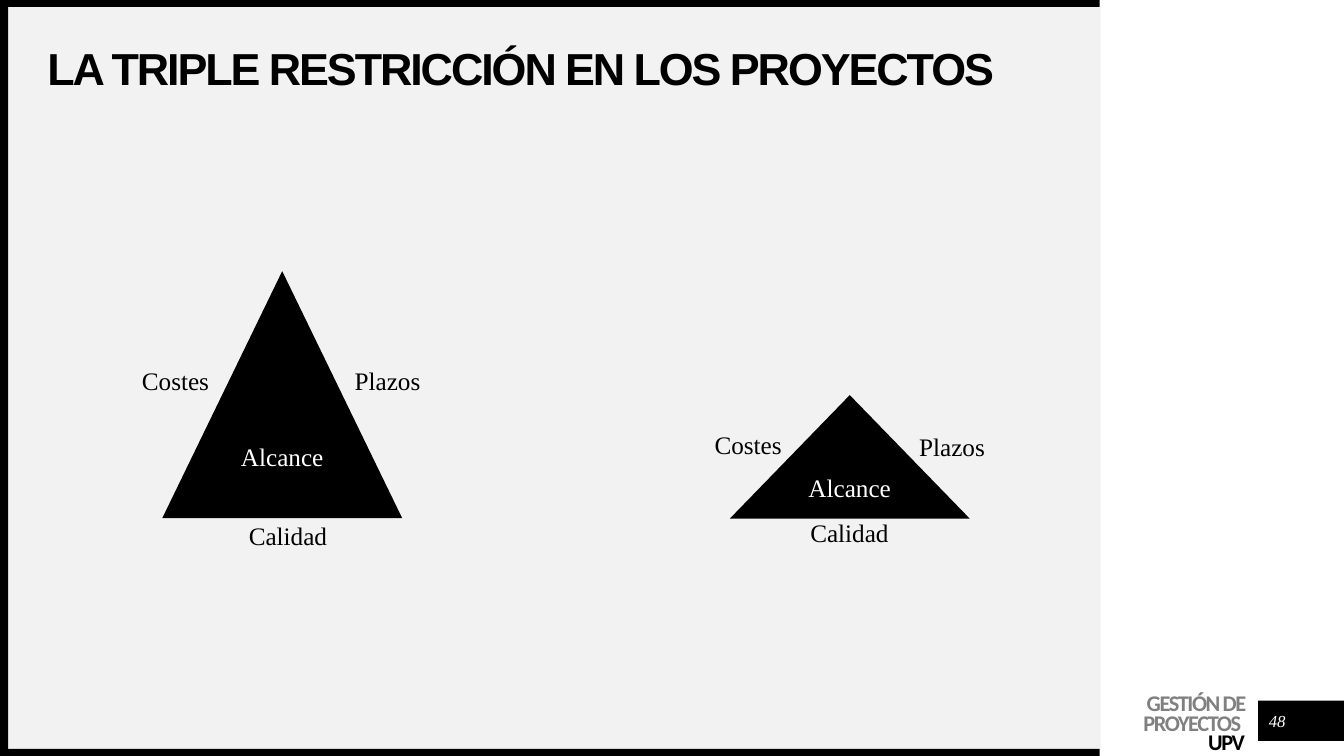
from pptx import Presentation
from pptx.dml.color import RGBColor
from pptx.enum.shapes import MSO_SHAPE as Shape
from pptx.enum.text import MSO_ANCHOR as Anchor, MSO_AUTO_SIZE as AutoSize, PP_ALIGN as Align
from pptx.util import Inches, Pt

BLACK = RGBColor(0x00, 0x00, 0x00)
WHITE = RGBColor(0xFF, 0xFF, 0xFF)
GREY = RGBColor(0x80, 0x80, 0x80)
PANEL_GREY = RGBColor(0xF2, 0xF2, 0xF2)

COLUMNS, ROWS = 133.33, 75  # square cells, a tenth of an inch wide
CELL = Inches(0.1)
TITLE_FONT, BODY_FONT, BRAND_FONT = "Arial", "Times New Roman", "Calibri"


def cells(*counts):
    """Turn counts of grid cells into lengths."""
    return [round(count * CELL) for count in counts]


class SlideBuilder:
    def __init__(self, slide):
        self.slide = slide

    def set_text(self, paragraph, text, font, size, color,
                 align=Align.LEFT, bold=False, italic=False, tracking=0):
        """Fill a paragraph with one run; tracking is in points."""
        run = paragraph.add_run()
        run.text = text
        if tracking:
            run.font._element.set("spc", str(round(tracking * 100)))
        paragraph.alignment = align
        style = paragraph.font
        style.name, style.size = font, Pt(size)
        style.bold, style.italic = bold, italic
        style.color.rgb = color

    def clear_margins(self, frame, top=0):
        frame.margin_left = frame.margin_right = frame.margin_bottom = 0
        frame.margin_top = round(top * CELL)

    def shape(self, kind, box, color):
        shape = self.slide.shapes.add_shape(kind, *cells(*box))
        shape.shadow.inherit = False
        shape.fill.solid()
        shape.fill.fore_color.rgb = color
        shape.line.fill.background()
        return shape

    def text_box(self, box):
        frame = self.slide.shapes.add_textbox(*cells(*box)).text_frame
        frame.word_wrap = True
        return frame

    def title(self, text, box):
        title = self.slide.shapes.title
        title.left, title.top, title.width, title.height = cells(*box)
        self.slide.shapes._spTree.append(title._element)  # in front of the panel
        frame = title.text_frame
        frame.auto_size = AutoSize.NONE
        frame.vertical_anchor = Anchor.MIDDLE
        self.clear_margins(frame)
        paragraph = frame.paragraphs[0]
        paragraph.line_spacing = 0.9
        self.set_text(paragraph, text, TITLE_FONT, 32, BLACK, bold=True, tracking=-1.5)

    def brand(self, lines, box):
        frame = self.text_box(box)
        self.clear_margins(frame, top=0.4)
        for index, (text, color) in enumerate(lines):
            paragraph = frame.add_paragraph() if index else frame.paragraphs[0]
            paragraph.line_spacing = Pt(14)
            self.set_text(paragraph, text, BRAND_FONT, 16, color, Align.RIGHT,
                          bold=True, tracking=-1)

    def page_number(self, text, box):
        frame = self.text_box(box)
        frame.vertical_anchor = Anchor.MIDDLE
        self.clear_margins(frame)
        self.set_text(frame.paragraphs[0], text, BODY_FONT, 12, WHITE, Align.CENTER, italic=True)

    def triangle(self, box, center, sides):
        """Draw a triangle with its centre text and a label at each side."""
        frame = self.shape(Shape.ISOSCELES_TRIANGLE, box, BLACK).text_frame
        frame.vertical_anchor = Anchor.MIDDLE
        self.set_text(frame.paragraphs[0], center, BODY_FONT, 18, WHITE, Align.CENTER)
        for text, (left, top) in sides.items():
            label = self.text_box((left, top, 38.4, 4))
            self.set_text(label.paragraphs[0], text, BODY_FONT, 18, BLACK)


def main():
    presentation = Presentation()
    presentation.slide_width, presentation.slide_height = cells(COLUMNS, ROWS)
    builder = SlideBuilder(presentation.slides.add_slide(presentation.slide_layouts[5]))

    builder.shape(Shape.RECTANGLE, (0.8, 0.7, 108.4, 73.6), PANEL_GREY)
    page_box = (124.8, 69.5, COLUMNS - 124.8, 4)
    bottom_edge, top_edge = (0, 74.3, 109.1, 0.7), (0, 0, 109.1, 0.7)
    left_edge = (0, 0, 0.8, ROWS)
    for box in (page_box, bottom_edge, top_edge, left_edge):
        builder.shape(Shape.RECTANGLE, box, BLACK)

    builder.brand([("GESTIÓN DE PROYECTOS ", GREY), ("UPV", BLACK)], (105.3, 68.7, 18.2, 6.4))
    builder.title("LA TRIPLE RESTRICCIÓN EN LOS PROYECTOS", (4.7, 4.7, 100.6, 4.7))
    builder.page_number("48", (125.2, 70, 3, 3))

    builder.triangle((16.1, 26.9, 23.8, 24.5), "Alcance",
                     {"Plazos": (34.2, 35.8), "Costes": (13.1, 35.8), "Calidad": (23.7, 51.1)})
    builder.triangle((72.4, 39.2, 23.8, 12.25), "Alcance",
                     {"Costes": (69.9, 42.1), "Plazos": (90.2, 42.3), "Calidad": (79.4, 50.8)})

    presentation.save("out.pptx")


if __name__ == "__main__":
    main()
